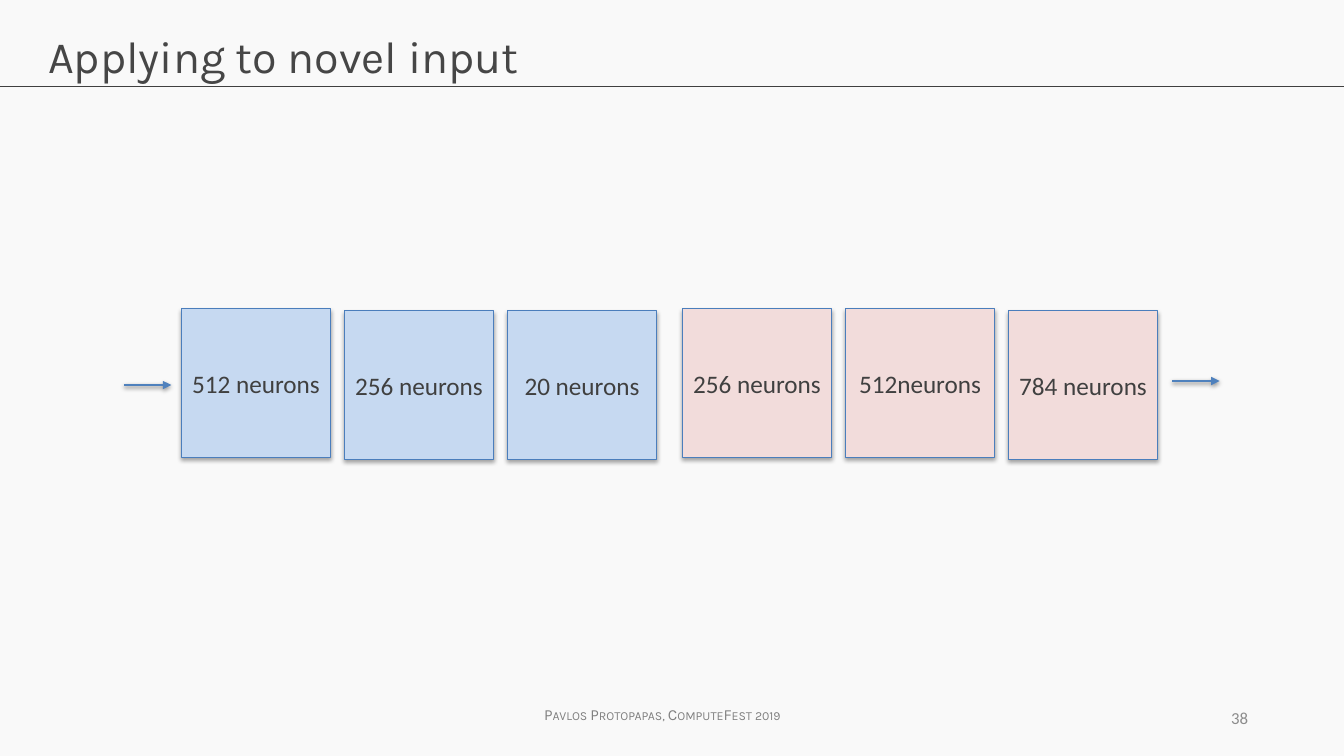
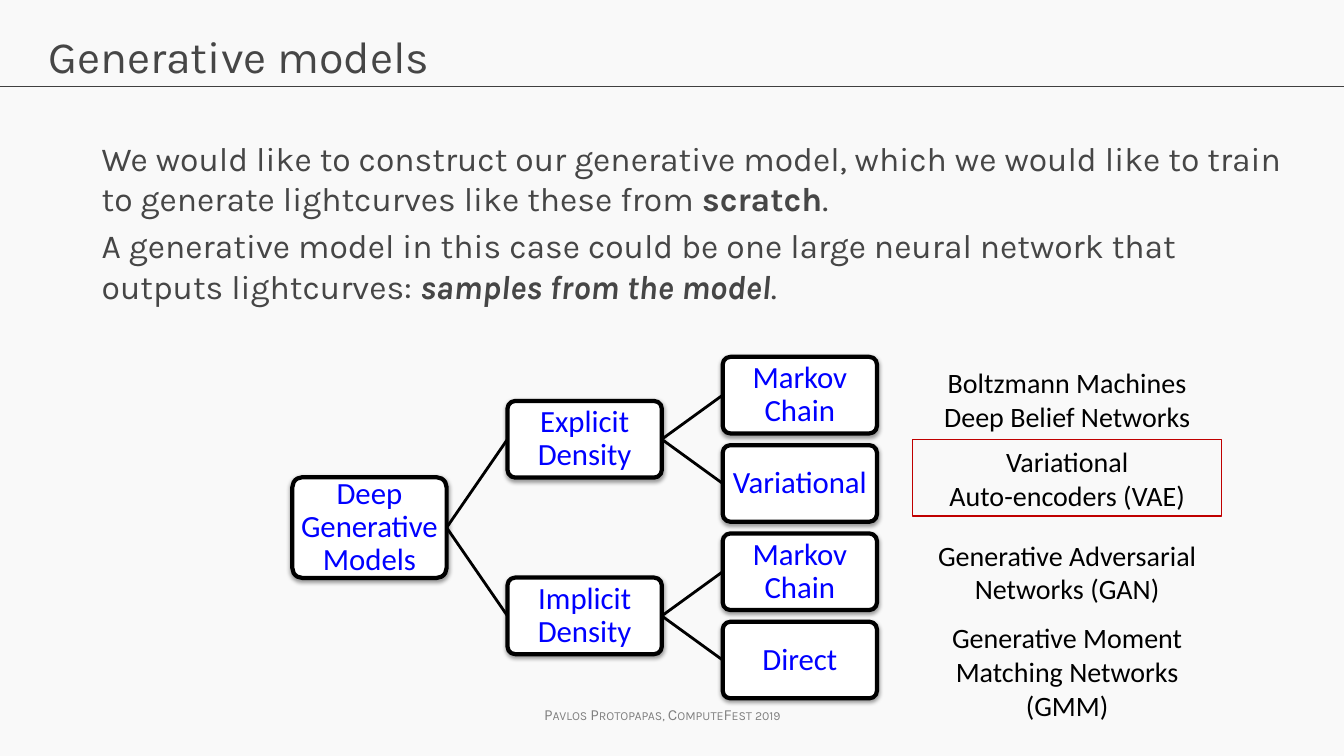
from lxml import etree
from pptx import Presentation
from pptx.dml.color import RGBColor
from pptx.enum.shapes import MSO_CONNECTOR, MSO_SHAPE
from pptx.enum.text import MSO_ANCHOR, PP_ALIGN
from pptx.oxml.ns import qn
from pptx.util import Inches, Pt

LEFT, MID, RIGHT = PP_ALIGN.LEFT, PP_ALIGN.CENTER, PP_ALIGN.RIGHT
TOP, CENTER = MSO_ANCHOR.TOP, MSO_ANCHOR.MIDDLE
RECT, ROUND = MSO_SHAPE.RECTANGLE, MSO_SHAPE.ROUNDED_RECTANGLE
STRAIGHT = MSO_CONNECTOR.STRAIGHT
HEAD, BODY = "Karla", "Calibri"
HUES = {
    "page": "F9F9F9", "rule": "404040", "title": "464646", "foot": "808080",
    "number": "8C8C8C", "blue": "C6D9F1", "pink": "F2DCDB", "edge": "4B7EBC",
    "arrow": "4F81BD", "link": "0000FF", "black": "000000", "white": "FFFFFF",
    "red": "C00000",
}
INK = {name: RGBColor.from_string(code) for name, code in HUES.items()}

deck = Presentation()
deck.slide_width, deck.slide_height = Inches(13.33), Inches(7.5)
COL, ROW = deck.slide_width / 100, deck.slide_height / 100


def put(page, at, lines, size, ink, font=BODY, align=LEFT, anchor=TOP, kind=None):
    x, y, w, h = at
    area = [int(x * COL), int(y * ROW), int(w * COL), int(h * ROW)]
    if kind is None:
        shape = page.shapes.add_textbox(*area)
    else:
        shape = page.shapes.add_shape(kind, *area)
        shape.shadow.inherit = False
    frame = shape.text_frame
    frame.text = "\n".join(lines)
    frame.word_wrap = True
    frame.vertical_anchor = anchor
    for para in frame.paragraphs:
        para.alignment = align
        for run in para.runs:
            run.font.name, run.font.size = font, Pt(size)
            run.font.color.rgb = INK[ink]
    return shape


def draw(page, start, end, ink, width):
    (x1, y1), (x2, y2) = start, end
    line = page.shapes.add_connector(
        STRAIGHT, int(x1 * COL), int(y1 * ROW), int(x2 * COL), int(y2 * ROW))
    line.line.color.rgb = INK[ink]
    line.line.width = Pt(width)
    etree.SubElement(line._element.spPr, qn("a:effectLst"))
    return line


pages = []
for title in ["Applying to novel input", "Generative models"]:
    page = deck.slides.add_slide(deck.slide_layouts[6])
    page.background.fill.solid()
    page.background.fill.fore_color.rgb = INK["page"]
    draw(page, (0, 11.5), (100, 11.5), "rule", 0.75)
    foot = put(page, (39.75, 92.67, 20.1, 3.87),
               ["Pavlos Protopapas, ComputeFest 2019"], 11, "foot", HEAD)
    foot.text_frame.paragraphs[0].runs[0].font._element.set("cap", "small")
    put(page, (2.85, 3.2, 94.28, 11.2), [title], 32, "title", HEAD)
    pages.append(page)
novel, models = pages
soft = []

put(novel, (70.28, 92.27, 23.33, 5.33), ["38"], 12, "number",
    align=RIGHT, anchor=CENTER)
halves = [
    (13.5, "blue", [("512 neurons", 40.8), ("256 neurons", 41.07), ("20 neurons", 41.07)]),
    (50.78, "pink", [("256 neurons", 40.8), ("512neurons", 40.8), ("784 neurons", 41.07)]),
]
for left, fill, layers in halves:
    for i, (label, top) in enumerate(layers):
        box = put(novel, (left + 12.13 * i, top, 11.1, 19.73), [label], 18,
                  "rule", align=MID, anchor=CENTER, kind=RECT)
        box.text_frame.margin_left = box.text_frame.margin_right = Inches(0.05)
        box.fill.solid()
        box.fill.fore_color.rgb = INK[fill]
        box.line.color.rgb = INK["edge"]
        box.line.width = Pt(0.75)
        soft.append((box, 35, 1.8))

for left, top in [(9.22, 50.93), (87.22, 50.4)]:
    arrow = draw(novel, (left, top), (left + 3.53, top), "arrow", 2)
    etree.SubElement(arrow.line._get_or_add_ln(), qn("a:tailEnd"), type="triangle")
    soft.append((arrow, 38, 1.6))

body = put(models, (6.83, 17.6, 90.3, 30.8), [], 24, "title", HEAD)
story = [
    [("We would like to construct our generative model, which we would like to "
      "train to generate lightcurves like these from ", False, False),
     ("scratch", True, False), (".", False, False)],
    [("A generative model in this case could be one large neural network that "
      "outputs lightcurves: ", False, False),
     ("samples from the model", True, True), (".", False, False)],
]
for i, parts in enumerate(story):
    para = body.text_frame.add_paragraph() if i else body.text_frame.paragraphs[0]
    if i:
        para.space_before = Pt(4.8)
    for words, bold, slant in parts:
        run = para.add_run()
        run.text = words
        run.font.name, run.font.size = HEAD, Pt(24)
        run.font.bold, run.font.italic = bold, slant
        run.font.color.rgb = INK["title"]

WIDE, STEP, FIRST, GAP = 11.48, 16.01, 52.27, 11.68
nodes = [
    ("Deep Generative Models", 0, 1.5, None),
    ("Explicit Density", 1, 0.5, 1.5),
    ("Markov Chain", 2, 0, 0.5),
    ("Variational", 2, 1, 0.5),
    ("Implicit Density", 1, 2.5, 1.5),
    ("Markov Chain", 2, 2, 2.5),
    ("Direct", 2, 3, 2.5),
]
for label, level, row, source in nodes:
    left, mid = 21.75 + STEP * level, FIRST + GAP * row
    tall = 10.13 if level else 13.33
    if source is not None:
        draw(models, (left - STEP + WIDE, FIRST + GAP * source), (left, mid), "black", 2)
    node = put(models, (left, mid - tall / 2, WIDE, tall), [label], 22, "link",
               align=MID, anchor=CENTER, kind=ROUND)
    node.adjustments[0] = 0.1
    node.fill.solid()
    node.fill.fore_color.rgb = INK["white"]
    node.line.color.rgb = INK["black"]
    node.line.width = Pt(3)
    frame = node.text_frame
    frame.margin_left = frame.margin_right = Inches(0.02)
    frame.margin_top = frame.margin_bottom = Inches(0.02)
    frame.paragraphs[0].line_spacing = 0.9
    soft.append((node, 38, 1.6))

notes = [
    (47.73, 10.13, ["Boltzmann Machines", "Deep Belief Networks"]),
    (58.13, 10.13, ["Variational", "Auto-encoders (VAE)"]),
    (70.53, 10.13, ["Generative Adversarial Networks (GAN)"]),
    (81.47, 14.67, ["Generative Moment Matching Networks (GMM)"]),
]
for top, tall, lines in notes:
    note = put(models, (67.9, top, 23, tall), lines, 20, "black", align=MID)
    if lines[0] == "Variational":
        note.line.color.rgb = INK["red"]
        note.line.width = Pt(0.75)

for shape, alpha, drop in soft:
    effect = shape._element.spPr.find(qn("a:effectLst"))
    shade = etree.SubElement(effect, qn("a:outerShdw"), blurRad=str(Pt(3.1)),
                             dist=str(Pt(drop)), dir="5400000", rotWithShape="0")
    tint = etree.SubElement(shade, qn("a:srgbClr"), val=HUES["black"])
    etree.SubElement(tint, qn("a:alpha"), val=str(alpha * 1000))

deck.save("out.pptx")
